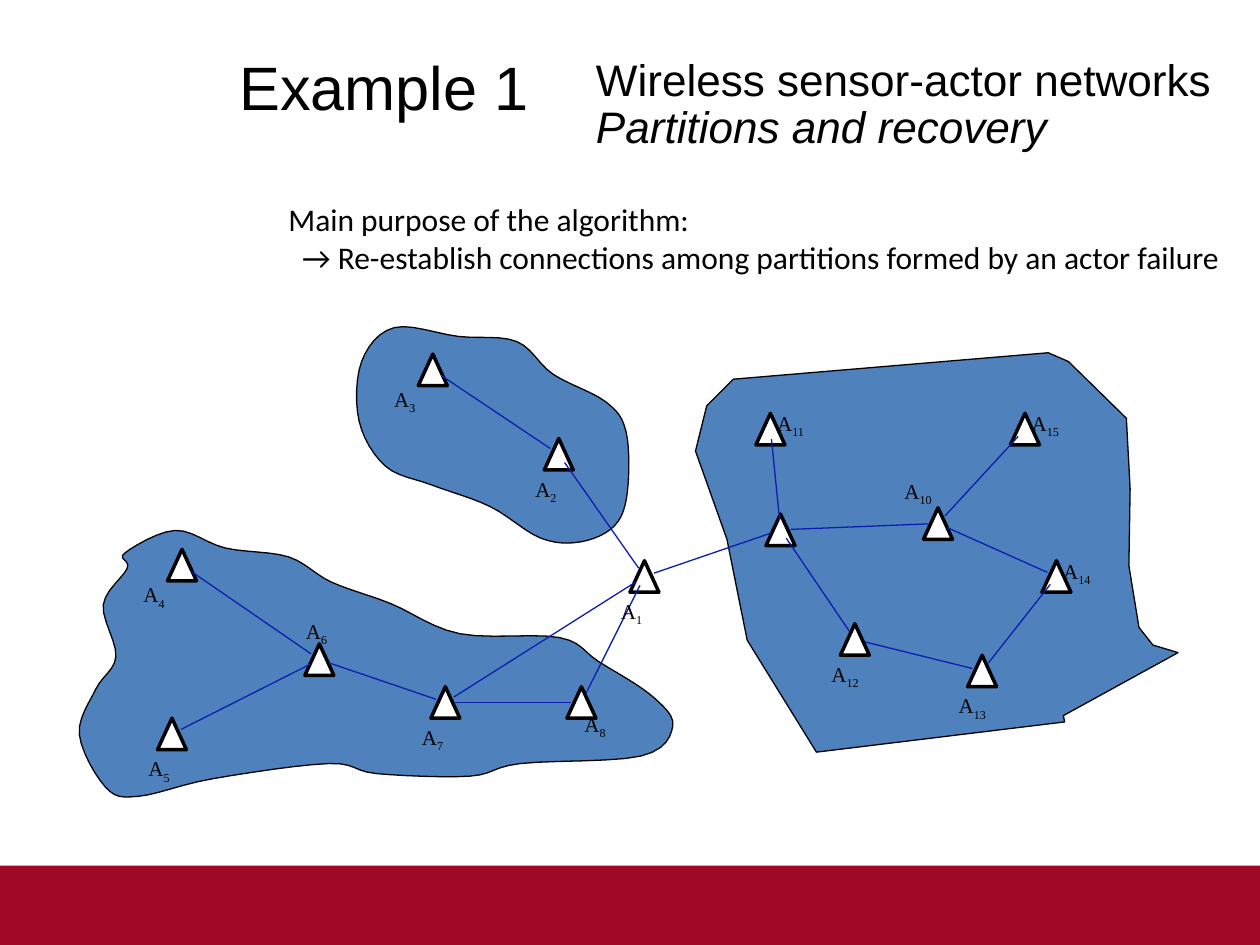
from dataclasses import dataclass
from math import hypot

from lxml.etree import SubElement
from pptx import Presentation
from pptx.dml.color import RGBColor
from pptx.enum.shapes import MSO_CONNECTOR, MSO_SHAPE
from pptx.enum.text import MSO_ANCHOR, MSO_AUTO_SIZE, PP_ALIGN
from pptx.oxml.ns import qn
from pptx.util import Inches, Pt


@dataclass(frozen=True)
class Theme:
    black: RGBColor = RGBColor(0x00, 0x00, 0x00)
    white: RGBColor = RGBColor(0xFF, 0xFF, 0xFF)
    band: RGBColor = RGBColor(0x9F, 0x09, 0x26)
    partition: RGBColor = RGBColor(0x4F, 0x81, 0xBD)
    link: RGBColor = RGBColor(0x0B, 0x1F, 0xAF)
    heading_font: str = "Arial"
    body_font: str = "Calibri"
    label_font: str = "Times New Roman"
    example_size: float = 35
    title_size: float = 25.2
    body_size: float = 18
    label_size: float = 12
    thin: float = 0.75
    thick: float = 2


THEME = Theme()

# Diagram lengths are hundredths of an inch, measured from the diagram's corner
UNIT = Inches(0.01)
ACTOR_WIDTH, ACTOR_HEIGHT = 23, 25
LABEL_WIDTH, LABEL_HEIGHT = 50, 30
LINK_GAP = 8      # a link stops this far from an actor's centre
CURVE_STEPS = 6   # straight pieces between two points of a smooth outline

# Where a label's corner lies from its triangle's corner
LABEL_OFFSETS = {
    "below": (-17, 25), "below left": (-29, 21), "below right": (4, 15),
    "above": (-9, -25), "above left": (-25, -28), "right": (7, -7),
}

# Name: left, top, side of the label
ACTORS = {
    "1": (500, 245, "below"), "2": (432, 148, "below"), "3": (332, 81, "below left"),
    "4": (133, 236, "below left"), "5": (125, 370, "below"), "6": (242, 311, "above"),
    "7": (342, 345, "below"), "8": (450, 345, "below right"),
    "hub": (608, 208, None), "10": (733, 203, "above left"),
    "11": (600, 128, "right"), "12": (667, 295, "below"), "13": (768, 320, "below"),
    "14": (827, 245, "right"), "15": (802, 128, "right"),
}

# Each route links every actor to the next one
ROUTES = ["4 6 7 8 1 7", "5 6", "3 2 1 hub 10 14 13 12 hub 11", "15 10"]

# Turning points of each partition, clockwise
WEST_BLOB = [
    (99, 239), (139, 221), (179, 235), (229, 242), (263, 262), (310, 279), (365, 303),
    (444, 306), (475, 325), (517, 352), (534, 376), (509, 400), (413, 406), (373, 416),
    (299, 414), (261, 406), (169, 418), (110, 432), (84, 425), (63, 383), (76, 347),
    (92, 321), (82, 280), (101, 251),
]
NORTH_BLOB = [
    (313, 60), (364, 67), (410, 71), (439, 97), (481, 119), (497, 143), (498, 190),
    (488, 217), (461, 230), (429, 227), (389, 202), (343, 185), (306, 170), (285, 134),
    (287, 87),
]
EAST_POLYGON = [
    (582, 101), (832, 80), (848, 87), (894, 132), (897, 188), (896, 249), (904, 298),
    (915, 312), (935, 318), (844, 368), (845, 373), (648, 397), (593, 308), (577, 228),
    (552, 158), (561, 122),
]


def smooth(points):
    """Round a closed outline with a Catmull-Rom curve through its points."""
    curve = []
    for i, start in enumerate(points):
        before, end, after = points[i - 1], points[(i + 1) % len(points)], points[(i + 2) % len(points)]
        for step in range(CURVE_STEPS):
            t = step / CURVE_STEPS
            curve.append(tuple(
                b + ((c - a) * t + (2 * a - 5 * b + 4 * c - d) * t ** 2
                     + (3 * b - a - 3 * c + d) * t ** 3) / 2
                for a, b, c, d in zip(before, start, end, after)))
    return curve


def link_ends(first, second):
    """Return both ends of a link, pulled back from the actors' centres."""
    (x1, y1), (x2, y2) = ((left + ACTOR_WIDTH / 2, top + ACTOR_HEIGHT / 2)
                          for left, top, _ in (ACTORS[first], ACTORS[second]))
    share = LINK_GAP / hypot(x2 - x1, y2 - y1)
    dx, dy = (x2 - x1) * share, (y2 - y1) * share
    return (x1 + dx, y1 + dy), (x2 - dx, y2 - dy)


def paint(shape, fill, line, width):
    shape.shadow.inherit = False
    shape.fill.solid()
    shape.fill.fore_color.rgb = fill
    shape.line.color.rgb = line
    shape.line.width = Pt(width)


def style(font, name, size):
    font.name, font.size = name, Pt(size)
    font.color.rgb = THEME.black


def format_heading(shape, box, text, size):
    """Place a flush, tightly spaced heading and return its paragraph."""
    shape.left, shape.top, shape.width, shape.height = (Inches(v) for v in box)
    frame = shape.text_frame
    frame.text = text
    frame.word_wrap = True
    frame.auto_size = MSO_AUTO_SIZE.NONE
    frame.vertical_anchor = MSO_ANCHOR.TOP
    frame.margin_left = frame.margin_right = frame.margin_top = frame.margin_bottom = 0
    para = frame.paragraphs[0]
    para.alignment = PP_ALIGN.LEFT
    para.line_spacing = 0.9
    for span in para.runs:
        style(span.font, THEME.heading_font, size)
    return para


def add_header(page, box):
    left, top, width, height = box
    title_offset, example_width = 2.83, 2.54
    para = format_heading(page.shapes.title,
                          (left + title_offset, top, width - title_offset, height),
                          "Wireless sensor-actor networks\vPartitions and recovery",
                          THEME.title_size)
    para.runs[-1].font.italic = True
    example = page.shapes.add_textbox(0, 0, 0, 0)
    format_heading(example, (left, top, example_width, height), "Example 1", THEME.example_size)


def add_purpose(page, box):
    frame = page.shapes.add_textbox(*(Inches(v) for v in box)).text_frame
    frame.word_wrap = True
    frame.text = ("Main purpose of the algorithm:\n"
                  "→ Re-establish connections among partitions formed by an actor failure")
    for para in frame.paragraphs:
        style(para.runs[0].font, THEME.body_font, THEME.body_size)
    frame.paragraphs[1]._p.get_or_add_pPr().set("marL", str(Inches(0.11)))


def add_network(page, corner):
    left, top = (Inches(v) for v in corner)

    def at(x, y):
        return left + round(x * UNIT), top + round(y * UNIT)

    # Partitions
    for outline in (smooth(WEST_BLOB), smooth(NORTH_BLOB), EAST_POLYGON):
        start, *others = (at(x, y) for x, y in outline)
        builder = page.shapes.build_freeform(*start)
        builder.add_line_segments(others, close=True)
        paint(builder.convert_to_shape(), THEME.partition, THEME.black, THEME.thin)

    # Actors
    for x, y, _ in ACTORS.values():
        actor = page.shapes.add_shape(MSO_SHAPE.FLOWCHART_EXTRACT, *at(x, y),
                                      ACTOR_WIDTH * UNIT, ACTOR_HEIGHT * UNIT)
        paint(actor, THEME.white, THEME.black, THEME.thick)

    # Links
    for route in ROUTES:
        names = route.split()
        for first, second in zip(names, names[1:]):
            start, end = link_ends(first, second)
            link = page.shapes.add_connector(MSO_CONNECTOR.STRAIGHT, *at(*start), *at(*end))
            link.line.color.rgb = THEME.link
            link.line.width = Pt(THEME.thin)
            SubElement(link._element.spPr, qn("a:effectLst"))

    # Labels with the number as subscript
    for name, (x, y, side) in ACTORS.items():
        if side is None:
            continue
        dx, dy = LABEL_OFFSETS[side]
        label = page.shapes.add_textbox(*at(x + dx, y + dy),
                                        LABEL_WIDTH * UNIT, LABEL_HEIGHT * UNIT)
        label.text_frame.word_wrap = True
        para = label.text_frame.paragraphs[0]
        for text in ("A", name):
            span = para.add_run()
            span.text = text
            style(span.font, THEME.label_font, THEME.label_size)
        span._r.get_or_add_rPr().set("baseline", "-25000")


def add_footer_band(page, box):
    band = page.shapes.add_shape(MSO_SHAPE.RECTANGLE, *(Inches(v) for v in box))
    paint(band, THEME.band, THEME.band, THEME.thin)
    band.line.fill.background()


def main():
    deck = Presentation()
    deck.slide_width, deck.slide_height = Inches(10), Inches(7.5)
    page = deck.slides.add_slide(deck.slide_layouts[5])
    add_footer_band(page, (0, 6.87, 10, 0.63))
    add_header(page, (1.9, 0.46, 7.73, 0.74))
    add_network(page, (0, 2))
    add_purpose(page, (2.19, 1.54, 7.71, 1.01))
    deck.save("out.pptx")


if __name__ == "__main__":
    main()
